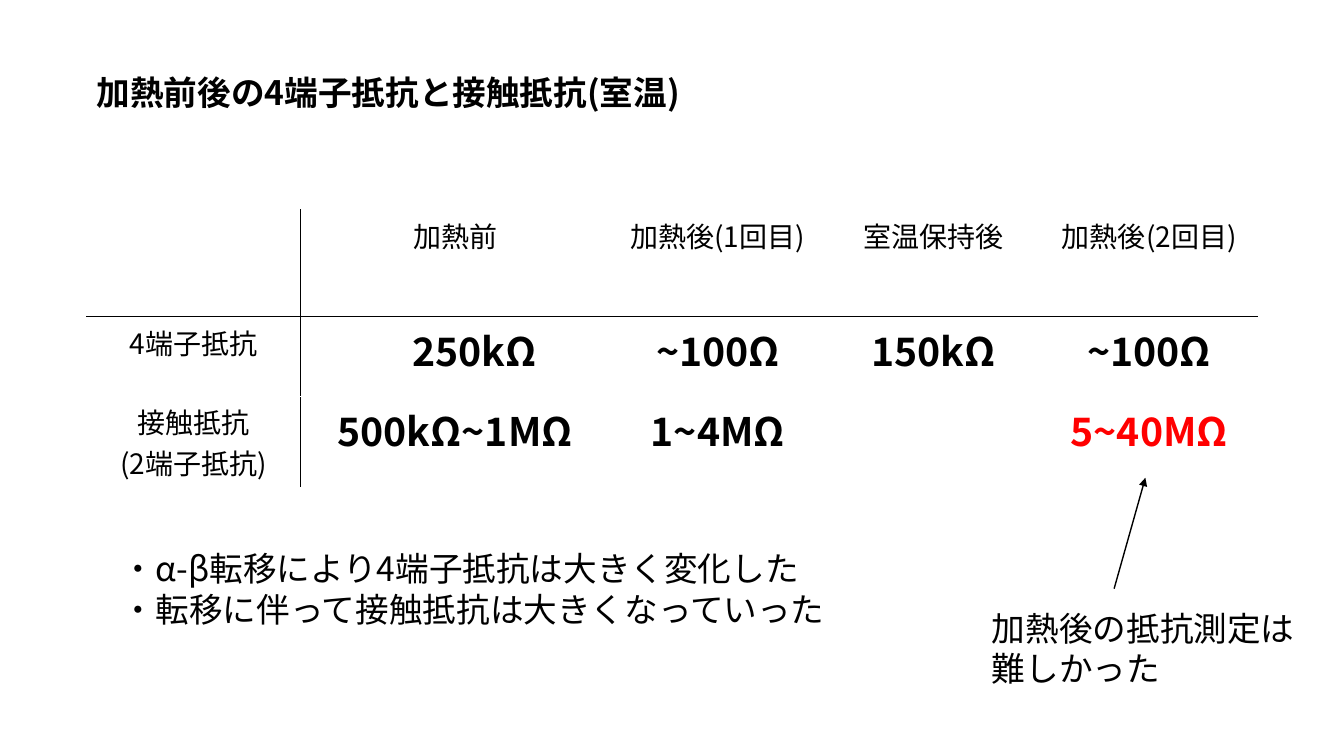
from lxml import etree
from pptx import Presentation
from pptx import util as u
from pptx.dml.color import RGBColor
from pptx.enum import lang, shapes, text
from pptx.oxml.ns import qn

FONT = "Noto Sans CJK JP"
COLORS = {"ink": "000000", "paper": "FFFFFF", "alert": "FF0000"}

COLUMN_WIDTHS = [2.12, 3.07, 2.14, 2.14, 2.14]
ROW_HEIGHTS = [1.06, 0.79, 0.82]
RESISTANCES = [
    ["", "加熱前", "加熱後(1回目)", "室温保持後", "加熱後(2回目)"],
    ["4端子抵抗", "\u3000250kΩ", "~100Ω", "150kΩ", "~100Ω"],
    ["接触抵抗\n(2端子抵抗)", "500kΩ~1MΩ", "1~4MΩ", "", "5~40MΩ"],
]
HARD_TO_MEASURE = (2, 4)


def write(frame, words, size=24, bold=False, color="ink", align=text.PP_ALIGN.LEFT):
    """Fill a text frame, one paragraph per line of words."""
    frame.word_wrap = True
    frame.text = words
    for line in frame.paragraphs:
        line.alignment = align
        line.space_before = u.Pt(0)
        for run in line.runs:
            font = run.font
            font.size, font.bold = u.Pt(size), bold
            font.color.rgb = RGBColor.from_string(COLORS[color])
            font.name = FONT
            font.language_id = lang.MSO_LANGUAGE_ID.JAPANESE
            east_asian = etree.SubElement(run._r.get_or_add_rPr(), qn("a:ea"))
            east_asian.set("typeface", FONT)


def place(part, left, top, width, height):
    """Move a part to a box given in inches."""
    part.left, part.top = u.Inches(left), u.Inches(top)
    part.width, part.height = u.Inches(width), u.Inches(height)


def add_heading(slide, *box):
    """Set the slide title in the box."""
    heading = slide.shapes.title
    place(heading, *box)
    write(heading.text_frame, "加熱前後の4端子抵抗と接触抵抗(室温)", bold=True)
    heading.text_frame.auto_size = text.MSO_AUTO_SIZE.NONE
    heading.text_frame.vertical_anchor = text.MSO_ANCHOR.TOP


def add_findings(slide, *box):
    """Set the list of findings, whose dots are part of the text."""
    findings = slide.placeholders[1]
    place(findings, *box)
    write(findings.text_frame,
          "・α-β転移により4端子抵抗は大きく変化した\n・転移に伴って接触抵抗は大きくなっていった")
    findings.text_frame.auto_size = text.MSO_AUTO_SIZE.NONE
    for finding in findings.text_frame.paragraphs:
        layout = finding._p.get_or_add_pPr()
        layout.set("marL", "0")
        layout.set("indent", "0")
        etree.SubElement(layout, qn("a:buNone"))


def set_borders(cell, row, column):
    """Rule off the header row and the label column; other edges are white."""
    ruled = {"lnL": column == 1, "lnR": column == 0, "lnT": row == 1, "lnB": row == 0}
    properties = cell._tc.get_or_add_tcPr()
    for position, (edge, is_ruled) in enumerate(ruled.items()):
        border = etree.Element(qn("a:" + edge), w=str(u.Pt(1)))
        fill = etree.SubElement(border, qn("a:solidFill"))
        shade = COLORS["ink" if is_ruled else "paper"]
        etree.SubElement(fill, qn("a:srgbClr"), val=shade)
        properties.insert(position, border)


def add_resistance_table(slide, left, top):
    """Add the table of resistances with its corner at left, top."""
    frame = slide.shapes.add_table(
        len(ROW_HEIGHTS), len(COLUMN_WIDTHS), u.Inches(left), u.Inches(top),
        u.Inches(sum(COLUMN_WIDTHS)), u.Inches(sum(ROW_HEIGHTS)))
    table = frame.table
    table.first_row = table.horz_banding = False
    for column, width in zip(table.columns, COLUMN_WIDTHS):
        column.width = u.Inches(width)
    for row, height in zip(table.rows, ROW_HEIGHTS):
        row.height = u.Inches(height)
    for r, values in enumerate(RESISTANCES):
        for c, value in enumerate(values):
            cell = table.cell(r, c)
            measured = r > 0 and c > 0
            write(cell.text_frame, value, size=28 if measured else 20, bold=measured,
                  color="alert" if (r, c) == HARD_TO_MEASURE else "ink",
                  align=text.PP_ALIGN.CENTER)
            cell.fill.background()
            set_borders(cell, r, c)


def add_remark(slide, left, top, width, height):
    """Add the remark in the box, with an arrow up to the red value."""
    arrow = slide.shapes.add_connector(
        shapes.MSO_CONNECTOR.STRAIGHT, u.Inches(left + 1.31), u.Inches(top - 0.14),
        u.Inches(left + 1.62), u.Inches(top - 1.24))
    arrow.line.color.rgb = RGBColor.from_string(COLORS["ink"])
    arrow.line.width = u.Pt(1)
    etree.SubElement(arrow.line._get_or_add_ln(), qn("a:tailEnd"), type="triangle")
    etree.SubElement(arrow._element.spPr, qn("a:effectLst"))
    remark = slide.shapes.add_textbox(
        u.Inches(left), u.Inches(top), u.Inches(width), u.Inches(height))
    write(remark.text_frame, "加熱後の抵抗測定は\n難しかった")


deck = Presentation()
deck.slide_width, deck.slide_height = u.Inches(13.33), u.Inches(7.5)
resistance_slide = deck.slides.add_slide(deck.slide_layouts[1])
add_heading(resistance_slide, 0.86, 0.66, 6.72, 0.5)
add_findings(resistance_slide, 1.11, 5.39, 7.76, 0.91)
add_resistance_table(resistance_slide, 0.86, 2.08)
add_remark(resistance_slide, 9.74, 5.98, 3.59, 0.91)
deck.save("out.pptx")
